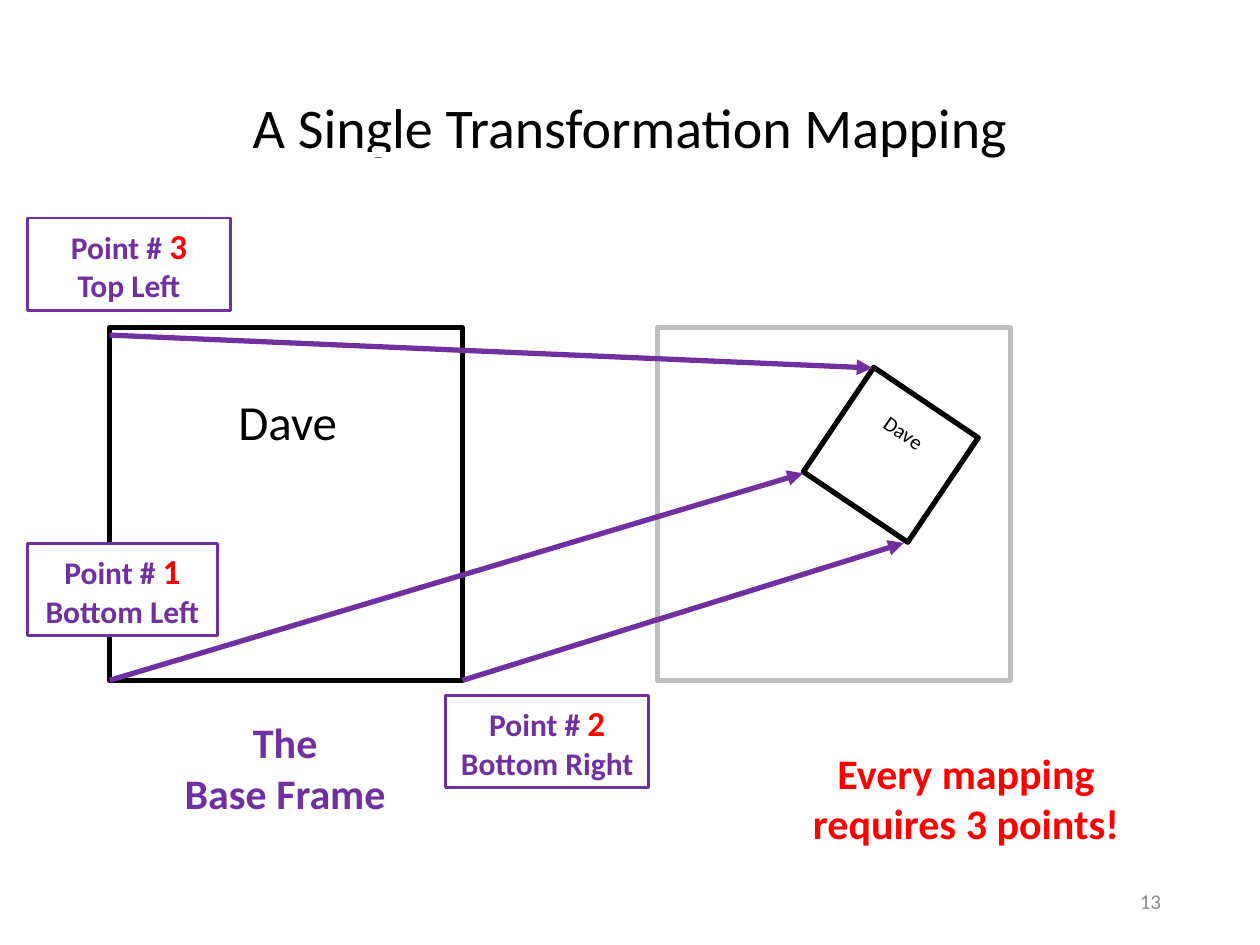
from lxml import etree
from pptx import Presentation
from pptx.dml.color import RGBColor
from pptx.enum import shapes, text
from pptx.oxml.ns import qn
from pptx.util import Pt

PURPLE, RED, BLACK, WHITE = "7030A0", "FF0000", "000000", "FFFFFF"
SIDE = 201.6
FRAME_LEFT, FRAME_TOP = 62.64, 187.2
FRAME_RIGHT, FRAME_BOTTOM = FRAME_LEFT + SIDE, FRAME_TOP + SIDE


def color(value):
    return RGBColor.from_string(value)


def write(shape, paragraphs, size, ink, bold=False, align="CENTER", anchor="TOP"):
    """Fill a shape with paragraphs of (words, style) runs.

    A style is "" for plain, "white underline", or "red" for a larger red run.
    """
    frame = shape.text_frame
    frame.word_wrap = True
    frame.vertical_anchor = text.MSO_ANCHOR[anchor]
    for index, runs in enumerate(paragraphs):
        paragraph = frame.add_paragraph() if index else frame.paragraphs[0]
        paragraph.alignment = text.PP_ALIGN[align]
        font = paragraph.font
        font.name, font.size, font.bold = "Calibri", Pt(size), bold
        font.color.rgb = color(ink)
        for words, style in runs:
            run = paragraph.add_run()
            run.text = words
            if style == "red":
                run.font.size = Pt(20)
                run.font.color.rgb = color(RED)
            elif style == "white underline":
                run.font.underline = True
                fill = etree.SubElement(run.font._element, qn("a:uFill"))
                solid = etree.SubElement(fill, qn("a:solidFill"))
                etree.SubElement(solid, qn("a:srgbClr"), val=WHITE)


presentation = Presentation()
presentation.slide_width, presentation.slide_height = Pt(720), Pt(540)
slide = presentation.slides.add_slide(presentation.slide_layouts[5])

title = slide.shapes.title
title.left, title.top, title.width, title.height = Pt(49.5), Pt(28.75), Pt(621), Pt(87)
write(title, [[("A ", ""), ("Single", "white underline"), (" Transformation Mapping", "")]],
      32, BLACK, anchor="MIDDLE")

# Base frame, target frame and the mapped square: left, top, side, line, rotation
for left, top, side, line, rotation in [
    (FRAME_LEFT, FRAME_TOP, SIDE, BLACK, 0),
    (375.84, FRAME_TOP, SIDE, "BFBFBF", 0),
    (473.04, 223.92, 72, BLACK, 34),
]:
    square = slide.shapes.add_shape(
        shapes.MSO_SHAPE.RECTANGLE, Pt(left), Pt(top), Pt(side), Pt(side))
    square.shadow.inherit = False
    square.fill.background()
    square.line.color.rgb = color(line)
    square.line.width = Pt(3)
    square.rotation = rotation

# Plain texts: box, paragraphs, size, colour, bold, rotation
for box, paragraphs, size, ink, bold, rotation in [
    ((95, 406, 136, 65), [[("The", "")], [("Base Frame", "")]], 24, PURPLE, True, 0),
    ((127.4, 220.3, 74, 41), [[("Dave", "")]], 28, BLACK, False, 0),
    ((491, 236.2, 51, 21.8), [[("Dave", "")]], 12, BLACK, False, 34.5),
    ((438, 423.4, 228, 65),
     [[("Every mapping requires ", ""), ("3", "white underline"), (" points!", "")]],
     24, RED, True, 0),
]:
    text_box = slide.shapes.add_textbox(*map(Pt, box))
    text_box.rotation = rotation
    write(text_box, paragraphs, size, ink, bold)

# Each point: number, corner name, label box, arrow start, arrow end
for number, corner, box, start, end in [
    ("3", "Top Left", (15.7, 124.5, 116, 52.8), (FRAME_LEFT, 191.5), (498.6, 210.3)),
    ("1", "Bottom Left", (15.7, 310.5, 108.5, 52.8), (FRAME_LEFT, FRAME_BOTTOM), (458.9, 270.5)),
    ("2", "Bottom Right", (254.7, 397.4, 116, 52.8), (FRAME_RIGHT, FRAME_BOTTOM), (516.5, 310.3)),
]:
    arrow = slide.shapes.add_connector(
        shapes.MSO_CONNECTOR.STRAIGHT, *map(Pt, start + end))
    arrow.line.color.rgb = color(PURPLE)
    arrow.line.width = Pt(3)
    etree.SubElement(arrow.line._get_or_add_ln(), qn("a:tailEnd"), type="triangle")
    etree.SubElement(arrow._element.spPr, qn("a:effectLst"))

    label = slide.shapes.add_shape(shapes.MSO_SHAPE.RECTANGLE, *map(Pt, box))
    label.shadow.inherit = False
    label.fill.solid()
    label.fill.fore_color.rgb = color(WHITE)
    label.line.color.rgb = color(PURPLE)
    label.line.width = Pt(1.5)
    write(label, [[("Point # ", ""), (number, "red")], [(corner, "")]], 18, PURPLE, True)

slide_number = slide.shapes.add_textbox(Pt(508.5), Pt(500.5), Pt(162), Pt(28.75))
write(slide_number, [[("13", "")]], 12, "8B8B8B", align="RIGHT", anchor="MIDDLE")

presentation.save("out.pptx")
